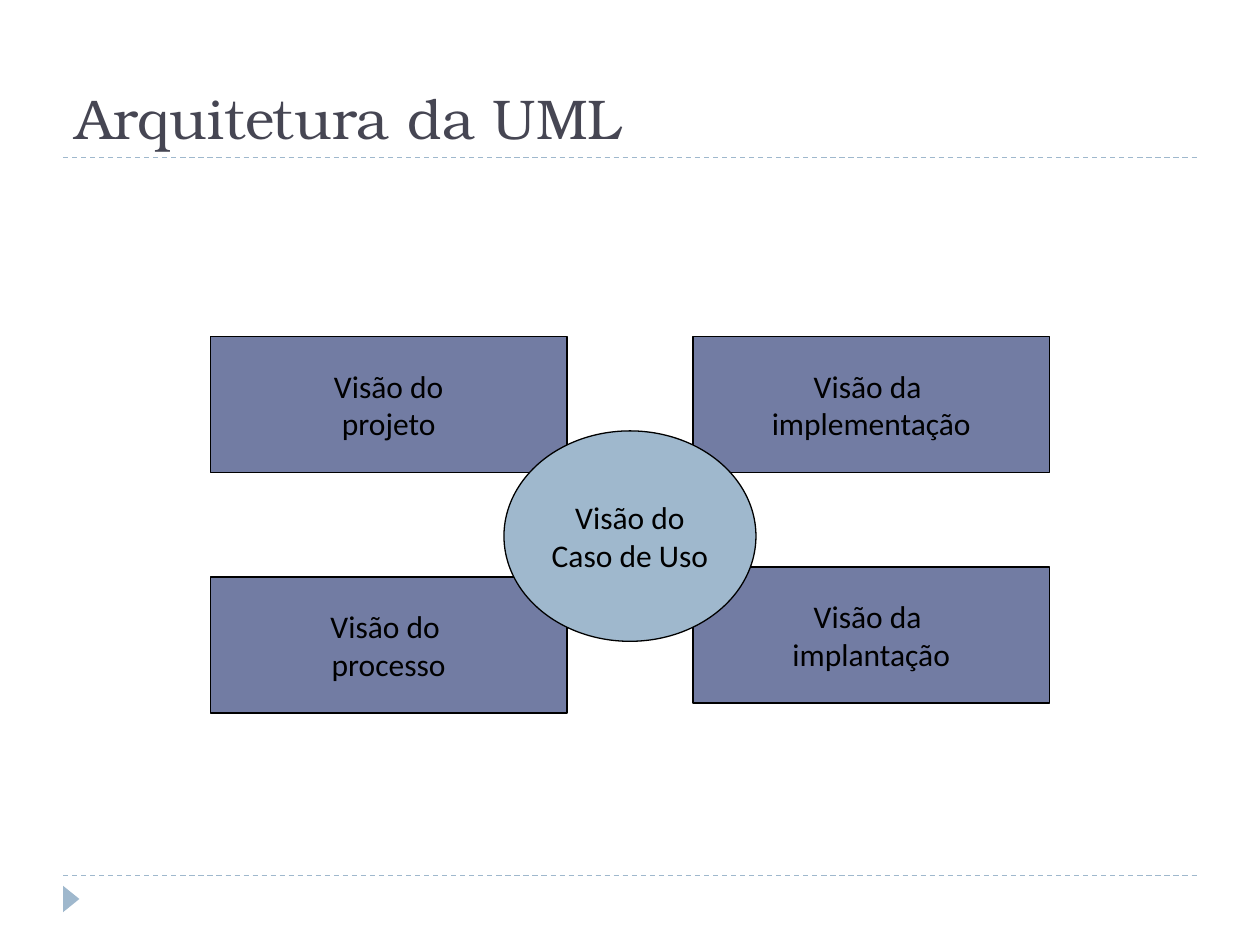
from pptx import Presentation
from pptx.dml.color import RGBColor
from pptx.enum import dml, shapes, text
from pptx.oxml.ns import qn
from pptx.util import Inches, Pt
from lxml import etree

TITLE = "Arquitetura da UML"
TITLE_FONT, BODY_FONT = "TeX Gyre Bonum", "Calibri"
DARK = RGBColor(0x46, 0x46, 0x53)
INDIGO = RGBColor(0x72, 0x7C, 0xA3)
LIGHT_BLUE = RGBColor(0x9F, 0xB8, 0xCD)
BLACK = RGBColor(0, 0, 0)

# Views: text, left, top
LEFT_COLUMN, RIGHT_COLUMN, TOP_ROW = 1.67, 5.5, 2.67
VIEW_SIZE = (2.83, 1.08)
VIEWS = [
    ("Visão do \nprocesso", LEFT_COLUMN, 4.58),
    ("Visão da \nimplementação", RIGHT_COLUMN, TOP_ROW),
    ("Visão da \nimplantação", RIGHT_COLUMN, 4.5),
    ("Visão do\nprojeto", LEFT_COLUMN, TOP_ROW),
]
USE_CASE = "Visão do\nCaso de Uso"
RULE_HEIGHTS = (6.95, 1.25)


def add_filled(slide, kind, box, color):
    shape = slide.shapes.add_shape(kind, *map(Inches, box))
    shape.shadow.inherit = False
    shape.fill.solid()
    shape.fill.fore_color.rgb = color
    return shape


def add_view(slide, kind, box, color, label):
    shape = add_filled(slide, kind, box, color)
    shape.line.color.rgb = BLACK
    shape.line.width = Pt(0.75)
    frame = shape.text_frame
    frame.text = label
    frame.word_wrap = False
    frame.vertical_anchor = text.MSO_ANCHOR.MIDDLE
    for paragraph in frame.paragraphs:
        paragraph.alignment = text.PP_ALIGN.CENTER
        paragraph.font.name = BODY_FONT
        paragraph.font.size = Pt(18)
        paragraph.font.color.rgb = BLACK


def add_rule(slide, y):
    line = slide.shapes.add_connector(
        shapes.MSO_CONNECTOR.STRAIGHT, Inches(0.5), Inches(y), Inches(9.5), Inches(y))
    line.line.color.rgb = LIGHT_BLUE
    line.line.width = Pt(0.75)
    line.line.dash_style = dml.MSO_LINE.DASH
    etree.SubElement(line._element.spPr, qn("a:effectLst"))


def main():
    presentation = Presentation()
    presentation.slide_width, presentation.slide_height = Inches(10), Inches(7.5)
    slide = presentation.slides.add_slide(presentation.slide_layouts[5])

    # Frame: dashed rules and corner marker
    for y in RULE_HEIGHTS:
        add_rule(slide, y)
    marker = add_filled(slide, shapes.MSO_SHAPE.ISOSCELES_TRIANGLE,
                        (0.46, 7.07, 0.21, 0.13), LIGHT_BLUE)
    marker.rotation = 90
    marker.line.fill.background()

    # Title
    title = slide.shapes.title
    title.left, title.top, title.width, title.height = map(Inches, (0.5, 0.25, 9, 1))
    title.text_frame.text = TITLE
    title.text_frame.vertical_anchor = text.MSO_ANCHOR.BOTTOM
    paragraph = title.text_frame.paragraphs[0]
    paragraph.alignment = text.PP_ALIGN.LEFT
    font = paragraph.runs[0].font
    font.name, font.size = TITLE_FONT, Pt(32)
    font.color.rgb = DARK

    # Four views with the use case view over their inner corners
    for label, left, top in VIEWS:
        add_view(slide, shapes.MSO_SHAPE.RECTANGLE, (left, top, *VIEW_SIZE), INDIGO, label)
    add_view(slide, shapes.MSO_SHAPE.OVAL, (4, 3.42, 2, 1.67), LIGHT_BLUE, USE_CASE)

    presentation.save("out.pptx")


if __name__ == "__main__":
    main()
